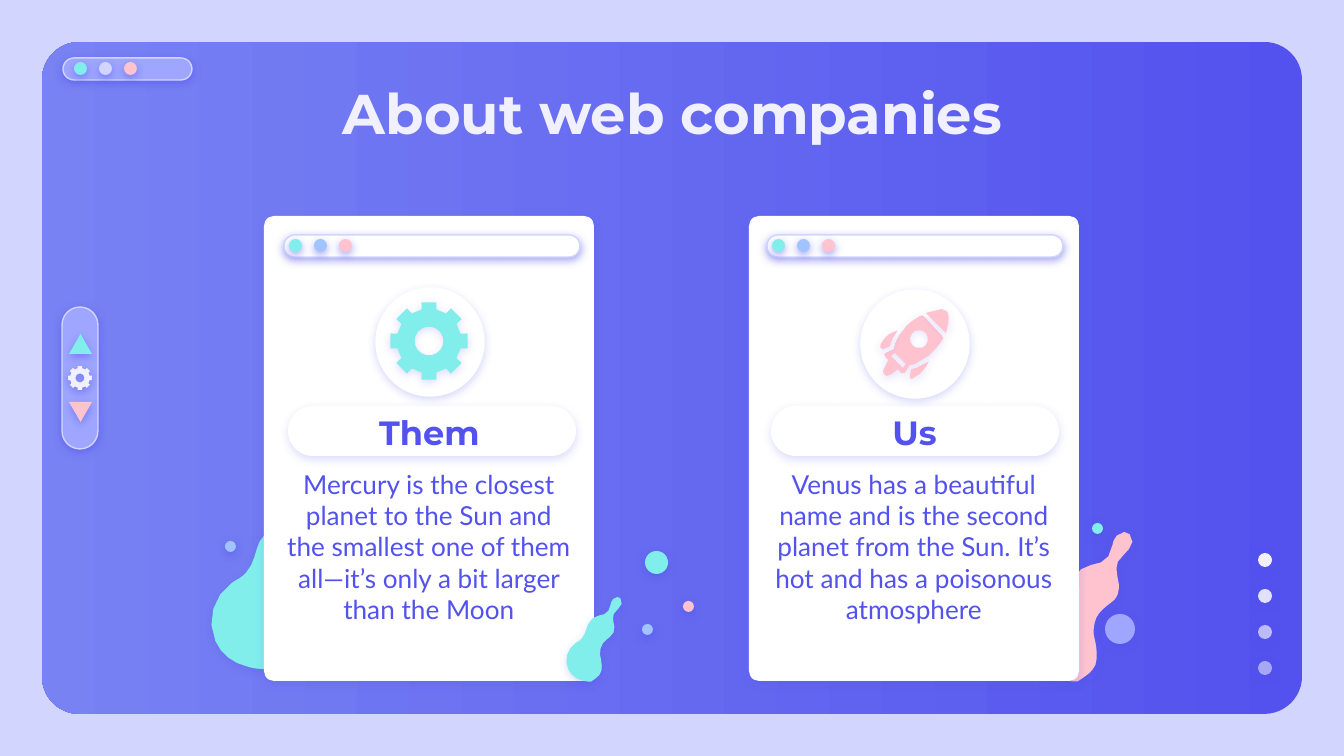
from math import ceil, cos, dist, radians, sin

from lxml import etree
from pptx import Presentation
from pptx.dml.color import RGBColor
from pptx.enum.shapes import MSO_SHAPE as SHAPE
from pptx.enum.text import MSO_ANCHOR as ANCHOR, MSO_AUTO_SIZE as AUTO, PP_ALIGN as ALIGN
from pptx.oxml.ns import qn
from pptx.util import Pt

PX = 914400 / 134.4
INDIGO = RGBColor(0x53, 0x52, 0xEE)
VIOLET = RGBColor(0x78, 0x82, 0xF3)
PERIWINKLE = RGBColor(0x9E, 0xA6, 0xFF)
LAVENDER = RGBColor(0xD2, 0xD6, 0xFF)
PALE = RGBColor(0xF1, 0xF0, 0xFF)
SKY = RGBColor(0xA1, 0xC3, 0xFF)
AQUA = RGBColor(0x81, 0xEE, 0xEB)
PINK = RGBColor(0xFF, 0xC3, 0xD0)
WHITE = RGBColor(0xFF, 0xFF, 0xFF)

UNIT = 1.34
BLOB = (
    "M 89 0 C 91 0 93 1 94 2 C 103 12 87 21 83 28 C 80 35 83 43 84 50 C 84 56 83 63 76 67 "
    "C 72 70 68 73 65 77 C 61 82 60 89 60 96 C 61 101 63 108 63 115 C 63 119 63 126 59 130 "
    "C 55 135 49 138 45 141 L 41 141 C 37 141 33 140 30 139 "
    "C 21 137 11 130 7 120 C 0 105 6 86 19 77 C 23 74 27 73 30 69 C 36 63 37 52 40 46 "
    "C 49 25 67 35 74 23 C 76 17 78 13 79 8 C 80 5 83 1 87 1"
)
ROCKET_HULL = (
    "M 30 16 C 32 16 33 16 35 18 C 37 20 37 25 35 27 C 34 29 32 29 30 29 C 28 29 26 29 25 27 "
    "C 24 26 23 24 23 22 C 23 20 24 19 25 18 C 26 16 28 16 30 16 "
    "M 12 33 L 20 41 L 18 44 L 9 35 "
    "M 31 5 C 26 8 21 11 18 16 C 15 19 14 22 12 26 L 11 30 L 5 33 "
    "L 4 34 L 5 36 L 7 38 C 6 41 3 45 3 47 L 4 49 "
    "L 6 50 C 8 50 12 47 14 45 L 17 48 L 19 48 "
    "L 23 42 L 27 41 C 30 39 34 37 37 35 C 41 31 45 27 48 22 L 47 20 L 33 5"
)
ROCKET_NOSE = "M 47 0 C 43 1 39 2 35 3 L 50 18 C 51 14 52 10 52 6 C 52 4 52 3 51 2 C 50 1 49 0 47 0"
ROCKET_LOWER_FIN = (
    "M 37 39 C 34 41 31 42 28 44 L 24 45 L 23 50 L 23 52 L 25 52 "
    "C 27 51 29 49 31 48 C 34 45 36 42 37 39"
)
ROCKET_UPPER_FIN = (
    "M 14 16 C 10 17 7 19 5 21 C 3 23 2 25 1 27 L 1 29 L 3 30 L 8 28 L 9 25 "
    "C 10 22 12 19 14 16"
)


def px(n):
    return round(n * PX)


def set_alpha(color_el, percent):
    etree.SubElement(color_el, qn("a:alpha")).set("val", str(percent * 1000))


def paint(sp, fill, line=None, shadow=50, opacity=100):
    sp.fill.solid()
    sp.fill.fore_color.rgb = fill
    if opacity < 100:
        set_alpha(sp._element.spPr.find(".//" + qn("a:srgbClr")), opacity)
    if line is None:
        sp.line.fill.background()
    else:
        sp.line.color.rgb = line
        sp.line.width = Pt(0.75)
    sp.shadow.inherit = False
    if shadow:
        effects = sp._element.spPr.find(qn("a:effectLst"))
        outer = etree.SubElement(effects, qn("a:outerShdw"), blurRad=str(Pt(4.5)),
                                 dist=str(Pt(1.5)), dir="5400000", algn="bl", rotWithShape="0")
        color = etree.SubElement(outer, qn("a:srgbClr"), val=str(INDIGO))
        set_alpha(color, shadow)


def add_preset(s, kind, x, y, w, h, fill, adj=None, **look):
    sp = s.shapes.add_shape(kind, px(x), px(y), px(w), px(h))
    if adj is not None:
        sp.adjustments[0] = adj
    paint(sp, fill, **look)
    return sp


def add_dot(s, x, y, size, fill, **look):
    return add_preset(s, SHAPE.OVAL, x, y, size, size, fill, **look)


def add_pill(s, x, y, w, h, fill, **look):
    return add_preset(s, SHAPE.ROUNDED_RECTANGLE, x, y, w, h, fill, adj=0.5, **look)


def add_outline(s, contours, fill, **look):
    contours = [[(px(x), px(y)) for x, y in contour] for contour in contours]
    builder = s.shapes.build_freeform(*contours[0][0])
    for i, contour in enumerate(contours):
        if i:
            builder.move_to(*contour[0])
        builder.add_line_segments(contour[1:], close=True)
    paint(builder.convert_to_shape(), fill, **look)


def bezier(p0, p1, p2, p3, scale):
    steps = min(4, ceil(dist(p0, p3) * scale / 6))
    for i in range(1, steps + 1):
        t = i / steps
        u = 1 - t
        yield tuple(u**3 * a + 3 * u * u * t * b + 3 * u * t * t * c + t**3 * d
                    for a, b, c, d in zip(p0, p1, p2, p3))


def add_curve(s, path, x, y, scale, fill, **look):
    contours = []
    for part in path.split("M")[1:]:
        points = []
        for segment in part.replace("C", "L").split("L"):
            nums = [int(n) for n in segment.split()]
            pairs = list(zip(nums[::2], nums[1::2]))
            points += bezier(points[-1], *pairs, scale) if len(pairs) == 3 else pairs
        contours.append([(x + a * scale, y + b * scale) for a, b in points])
    add_outline(s, contours, fill, **look)


def add_gear(s, cx, cy, r, fill, **look):
    def polar(radius, angle):
        return cx + r * radius * cos(radians(angle)), cy + r * radius * sin(radians(angle))

    tooth = [(0.83, -13), (1.01, -11), (1.01, 11), (0.83, 13)]
    rim = [polar(radius, a + step) for a in range(0, 360, 45) for radius, step in tooth]
    hole = [polar(0.37, a) for a in range(0, 360, 20)]
    add_outline(s, [rim, hole], fill, **look)


def add_rocket(s, x, y):
    for path in (ROCKET_HULL, ROCKET_NOSE, ROCKET_LOWER_FIN, ROCKET_UPPER_FIN):
        add_curve(s, path, x, y, UNIT, PINK, shadow=14)


def add_window_bar(s, x, y, w, dots_x, fill, middle):
    add_pill(s, x, y, w, 22, fill, line=LAVENDER)
    for i, color in enumerate((AQUA, middle, PINK)):
        add_dot(s, dots_x + 25 * i, y + 4, 13, color)


def write(sp, text, size, font="Montserrat", color=INDIGO, bold=False, inset=0,
          anchor=ANCHOR.MIDDLE):
    tf = sp.text_frame
    tf.word_wrap = True
    tf.auto_size = AUTO.NONE
    tf.vertical_anchor = anchor
    tf.margin_left = tf.margin_right = tf.margin_top = tf.margin_bottom = px(inset)
    p = tf.paragraphs[0]
    p.alignment = ALIGN.CENTER
    r = p.add_run()
    r.text = text
    r.font.name, r.font.size, r.font.bold = font, Pt(size), bold
    r.font.color.rgb = color


def add_card(s, x):
    add_preset(s, SHAPE.ROUNDED_RECTANGLE, x, 216, 330, 465, WHITE, adj=0.03, shadow=18)


def add_card_content(s, x, bar_x, icon_y, name, body):
    add_pill(s, bar_x + 4, 406, 288, 50, WHITE, shadow=18)
    label = add_preset(s, SHAPE.RECTANGLE, x + 48, 418, 235, 28, WHITE, shadow=0)
    write(label, name, 18, bold=True)
    text = add_preset(s, SHAPE.RECTANGLE, x + 9, 472, 312, 149, WHITE, shadow=0)
    write(text, body, 14, font="Lato", inset=13)
    add_dot(s, x + 112, icon_y, 108, WHITE, line=WHITE, shadow=22)
    add_window_bar(s, bar_x, 235, 296, bar_x + 5, WHITE, SKY)


def add_backdrop(s):
    s.background.fill.solid()
    s.background.fill.fore_color.rgb = LAVENDER
    panel = add_preset(s, SHAPE.ROUNDED_RECTANGLE, 42, 42, 1260, 672, INDIGO, adj=0.056, shadow=0)
    panel.fill.gradient()
    panel.fill.gradient_angle = 180
    for stop, color in zip(panel.fill.gradient_stops, (INDIGO, VIOLET)):
        stop.color.rgb = color
    add_window_bar(s, 63, 58, 129, 74, PERIWINKLE, LAVENDER)
    for i, opacity in enumerate((100, 90, 67, 54)):
        add_dot(s, 1258, 553 + 36 * i, 14, PALE, opacity=opacity)


def add_scroll_control(s):
    add_pill(s, 62, 307, 36, 142, PERIWINKLE, line=LAVENDER)
    for y, color, turn in ((334, AQUA, 0), (402, PINK, 180)):
        add_preset(s, SHAPE.ISOSCELES_TRIANGLE, 69, y, 23, 20, color).rotation = turn
    add_gear(s, 80, 378, 12, PALE, shadow=52)


def main():
    prs = Presentation()
    prs.slide_width, prs.slide_height = px(1344), px(756)
    s = prs.slides.add_slide(prs.slide_layouts[5])
    title = s.shapes.title
    title.left, title.top, title.width, title.height = px(106), px(66), px(1133), px(85)
    write(title, "About web companies", 30, color=PALE, bold=True, inset=13, anchor=ANCHOR.TOP)
    add_backdrop(s)
    s.shapes._spTree.append(title._element)
    add_curve(s, BLOB, 206, 480, UNIT, AQUA, shadow=22)
    for x, y, size, color in ((225, 541, 11, SKY), (642, 624, 11, SKY),
                              (645, 551, 23, AQUA), (683, 601, 11, PINK)):
        add_dot(s, x, y, size, color)
    add_card(s, 264)
    add_curve(s, BLOB, 1030, 532, 1.06, PINK, shadow=22)
    add_dot(s, 1105, 614, 30, PERIWINKLE)
    add_dot(s, 1092, 523, 11, AQUA)
    add_card(s, 749)
    add_curve(s, BLOB, 564, 597, 0.6, AQUA, shadow=22)
    add_card_content(s, 264, 284, 288, "Them",
                     "Mercury is the closest planet to the Sun and the smallest one of them "
                     "all—it’s only a bit larger than the Moon")
    add_card_content(s, 749, 767, 290, "Us",
                     "Venus has a beautiful name and is the second planet from the Sun. "
                     "It’s hot and has a poisonous atmosphere")
    add_gear(s, 429, 341, 39, AQUA, shadow=18)
    add_rocket(s, 879, 309)
    add_scroll_control(s)
    prs.save("out.pptx")


if __name__ == "__main__":
    main()
